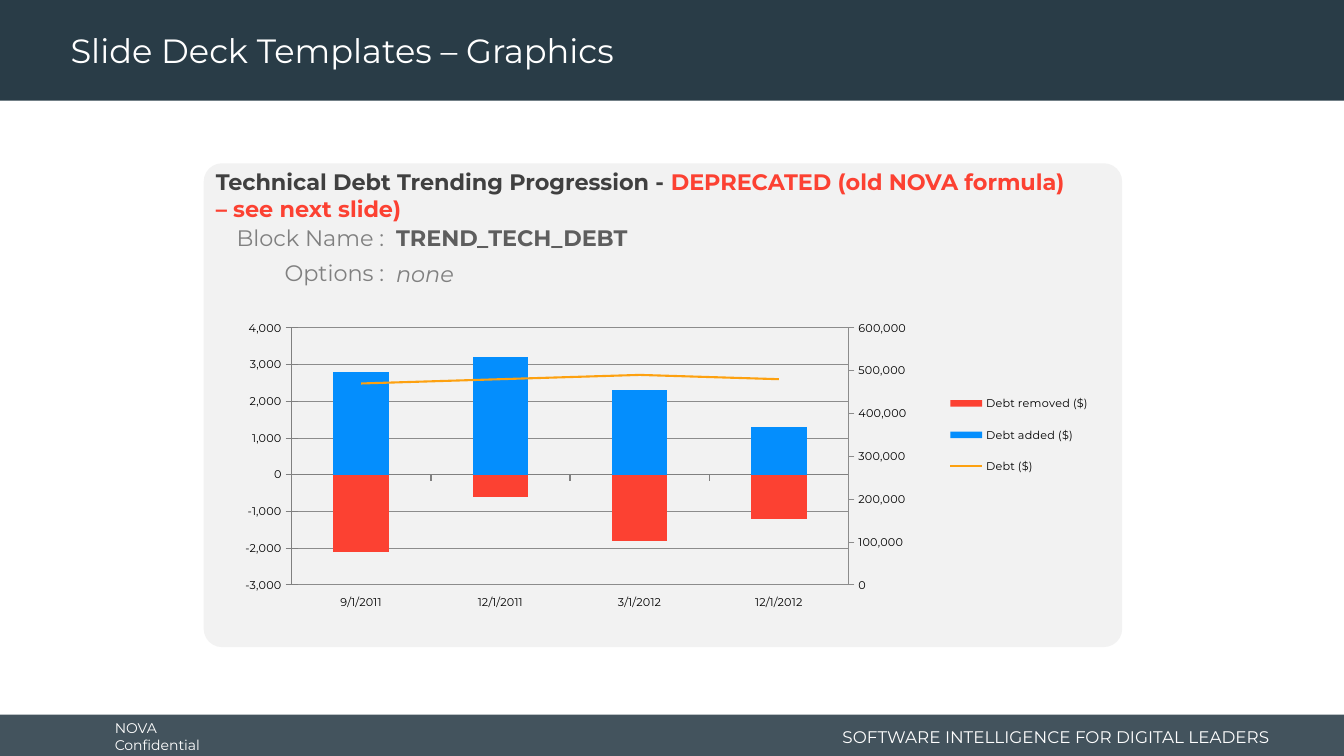
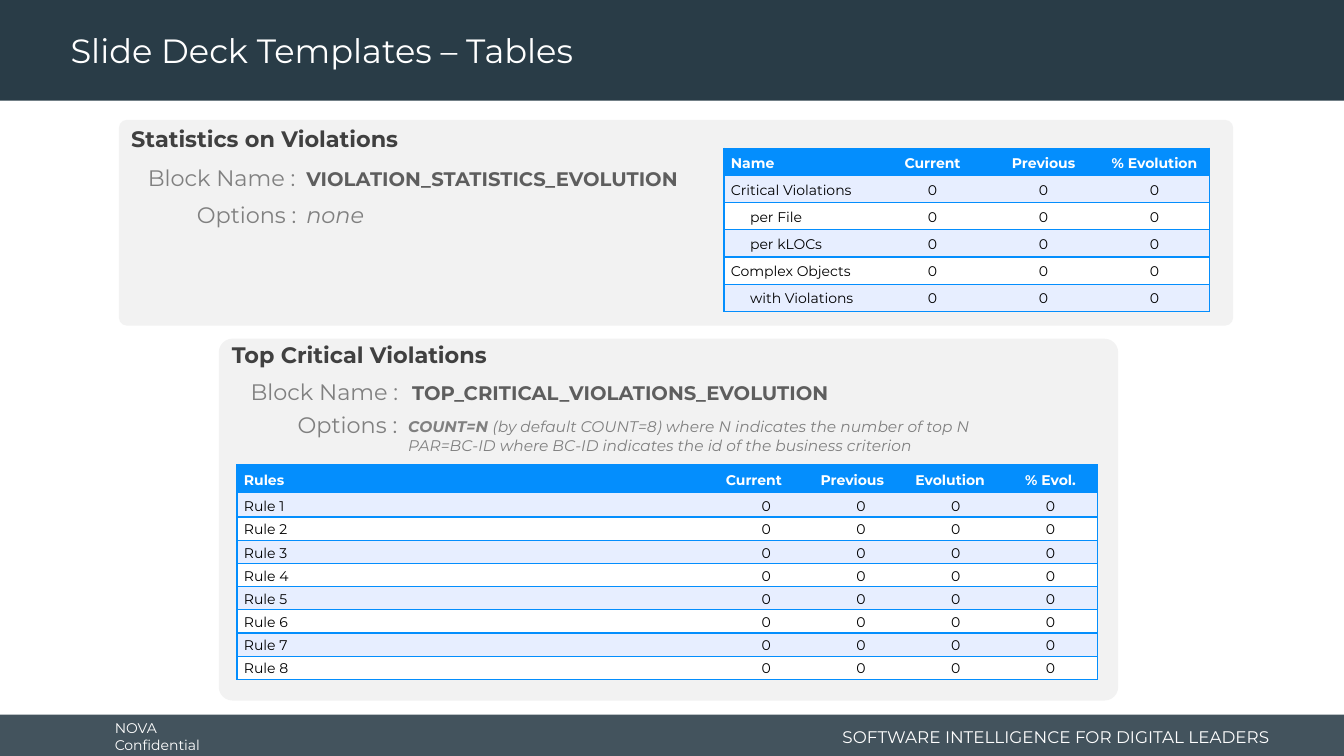
from dataclasses import dataclass

from pptx import Presentation
from pptx.chart.data import CategoryChartData
from pptx.dml.color import RGBColor
from pptx.enum import chart as charts, shapes, text
from pptx.oxml import parse_xml
from pptx.oxml.ns import nsdecls
from pptx.util import Inches, Pt

FONT = "Montserrat"
NAVY = RGBColor(0x29, 0x3C, 0x47)
WHITE = RGBColor(0xFF, 0xFF, 0xFF)
BLACK = RGBColor(0, 0, 0)
PANEL = RGBColor(0xF2, 0xF2, 0xF2)
DARK = RGBColor(0x40, 0x40, 0x40)
SLATE = RGBColor(0x5E, 0x5E, 0x5E)
GRAY = RGBColor(0x80, 0x80, 0x80)
GRID = RGBColor(0x8C, 0x8C, 0x8C)
RED = RGBColor(0xFC, 0x41, 0x32)
BLUE = RGBColor(0x04, 0x8E, 0xFD)
PALE_BLUE = RGBColor(0xE7, 0xEE, 0xFF)
ORANGE = RGBColor(0xFD, 0xA1, 0x10)

LEFT, CENTER, RIGHT = text.PP_ALIGN.LEFT, text.PP_ALIGN.CENTER, text.PP_ALIGN.RIGHT
MIDDLE = text.MSO_ANCHOR.MIDDLE
PLAIN_TABLE_STYLE = "{2D5ABB26-0587-4C30-8999-92F81FD0307C}"


@dataclass(frozen=True)
class Style:
    size: float
    color: RGBColor
    bold: bool = False
    italic: bool = False


TITLE = Style(24, WHITE)
HEADING = Style(16, DARK, bold=True)
WARNING = Style(16, RED, bold=True)
LABEL = Style(16, GRAY)
VALUE = Style(16, GRAY, italic=True)
NOTE = Style(11, GRAY, italic=True)
NOTE_BOLD = Style(11, GRAY, bold=True, italic=True)
TABLE_HEAD = Style(10, WHITE, bold=True)
TABLE_BODY = Style(10, BLACK)


def inches(values):
    return [Inches(value) for value in values]


def add_run(paragraph, words, style):
    run = paragraph.add_run()
    run.text = words
    run.font.name = FONT
    run.font.size = Pt(style.size)
    run.font.color.rgb = style.color
    run.font.bold = style.bold
    run.font.italic = style.italic


def add_text(slide, box, paragraphs, align=LEFT, wrap=True, side_inset=0.1, anchor=None):
    """Add a text box; each paragraph is a list of (words, style) runs."""
    shape = slide.shapes.add_textbox(*inches(box))
    frame = shape.text_frame
    frame.word_wrap = wrap
    frame.margin_left = frame.margin_right = Inches(side_inset)
    frame.vertical_anchor = anchor
    for number, runs in enumerate(paragraphs):
        paragraph = frame.add_paragraph() if number else frame.paragraphs[0]
        paragraph.alignment = align
        for words, style in runs:
            add_run(paragraph, words, style)
    return shape


def add_box(slide, kind, box, color):
    shape = slide.shapes.add_shape(kind, *inches(box))
    shape.shadow.inherit = False
    shape.fill.solid()
    shape.fill.fore_color.rgb = color
    shape.line.fill.background()
    return shape


def build_layout(layout, slide):
    """Place the title, then draw bands and footer on a slide and move them to its layout."""
    for placeholder in list(layout.placeholders):
        if placeholder.placeholder_format.idx:
            layout.shapes.element.remove(placeholder.element)
        else:
            placeholder.left, placeholder.top, placeholder.width, placeholder.height = inches(
                (0.6, 0.04, 9.58, 0.96))
            placeholder.text_frame.vertical_anchor = MIDDLE

    footer_band = add_box(slide, shapes.MSO_SHAPE.RECTANGLE, (0, 7.09, 13.33, 0.41), NAVY)
    fill_color = footer_band.element.xpath("./p:spPr/a:solidFill/a:srgbClr")[0]
    fill_color.append(parse_xml(f'<a:alpha {nsdecls("a")} val="88000"/>'))
    frame_shapes = [
        footer_band,
        add_box(slide, shapes.MSO_SHAPE.RECTANGLE, (0, 0, 13.33, 1), NAVY),
        add_text(slide, (1.04, 7.11, 1.48, 0.4),
                 [[("NOVA Confidential", Style(10, WHITE))]], wrap=False, anchor=MIDDLE),
        add_text(slide, (8.11, 7.15, 4.58, 0.32),
                 [[("SOFTWARE INTELLIGENCE FOR DIGITAL LEADERS", Style(12, WHITE))]],
                 align=RIGHT, anchor=MIDDLE),
    ]
    for position, shape in enumerate(frame_shapes, start=2):
        layout.shapes.element.insert(position, shape.element)


def set_title(slide, words):
    paragraph = slide.shapes.title.text_frame.paragraphs[0]
    paragraph.alignment = LEFT
    paragraph.line_spacing = 0.9
    add_run(paragraph, words, TITLE)


def add_panel(slide, box, heading_box, heading):
    panel = add_box(slide, shapes.MSO_SHAPE.ROUNDED_RECTANGLE, box, PANEL)
    panel.adjustments[0] = 0.038
    add_text(slide, heading_box, [heading], side_inset=0.2)


def add_field(slide, label, label_box, value_at, paragraphs):
    """Add a right-aligned label and the value beside it."""
    add_text(slide, label_box, [[(label, LABEL)]], align=RIGHT, wrap=False)
    add_text(slide, (*value_at, 7.25, 0.37), paragraphs)


def set_borders(cell, sides):
    properties = cell._tc.get_or_add_tcPr()
    for side in sides:
        properties.append(parse_xml(
            f'<a:ln{side} {nsdecls("a")} w="12700"><a:solidFill>'
            f'<a:srgbClr val="{BLUE}"/></a:solidFill></a:ln{side}>'))


def add_table(slide, at, widths, heights, rows, head_aligns, indented=()):
    """Add a banded table whose first row is the header."""
    frame = slide.shapes.add_table(
        len(rows), len(widths), *inches((*at, sum(widths), sum(heights))))
    frame.element.xpath(".//a:tableStyleId")[0].text = PLAIN_TABLE_STYLE
    table = frame.table
    table.first_row = table.horz_banding = False
    for column, width in zip(table.columns, widths):
        column.width = Inches(width)
    for row, height in zip(table.rows, heights):
        row.height = Inches(height)
    last = len(widths) - 1
    for r, row in enumerate(rows):
        for c, words in enumerate(row):
            cell = table.cell(r, c)
            set_borders(cell, "L" * (c == 0) + "R" * (c == last) + "TB")
            cell.fill.solid()
            cell.fill.fore_color.rgb = (PALE_BLUE if r % 2 else WHITE) if r else BLUE
            cell.vertical_anchor = MIDDLE
            cell.margin_top = cell.margin_bottom = 0
            cell.margin_left = Inches(0.26 if words in indented else 0.07)
            cell.margin_right = Inches(0.07)
            paragraph = cell.text_frame.paragraphs[0]
            paragraph.line_spacing = 1.15
            paragraph.alignment = head_aligns[c] if r == 0 else CENTER if c else LEFT
            add_run(paragraph, words, TABLE_BODY if r else TABLE_HEAD)


def manual_layout(x, y, width, height, inner=False):
    target = '<c:layoutTarget val="inner"/>' if inner else ""
    return parse_xml(
        f'<c:layout {nsdecls("c")}><c:manualLayout>{target}'
        '<c:xMode val="edge"/><c:yMode val="edge"/>'
        f'<c:x val="{x}"/><c:y val="{y}"/><c:w val="{width}"/><c:h val="{height}"/>'
        '</c:manualLayout></c:layout>')


def move_last_series_to_right_axis(plot_area):
    """Turn the last column series into a line on a second value axis from 0 to 600,000."""
    bars = plot_area.xpath("./c:barChart")[0]
    series = bars.xpath("./c:ser")[-1]
    for item in series.xpath("./c:invertIfNegative"):
        series.remove(item)
    lines = parse_xml(
        f'<c:lineChart {nsdecls("c")}><c:grouping val="standard"/><c:varyColors val="0"/>'
        '<c:marker val="1"/><c:axId val="5001"/><c:axId val="5002"/></c:lineChart>')
    lines.insert(2, series)
    bars.addnext(lines)
    category_axis = parse_xml(
        f'<c:catAx {nsdecls("c")}><c:axId val="5001"/>'
        '<c:scaling><c:orientation val="minMax"/></c:scaling><c:delete val="1"/>'
        '<c:axPos val="b"/><c:crossAx val="5002"/><c:crosses val="autoZero"/></c:catAx>')
    value_axis = parse_xml(
        f'<c:valAx {nsdecls("c", "a")}><c:axId val="5002"/>'
        '<c:scaling><c:orientation val="minMax"/><c:max val="600000"/><c:min val="0"/></c:scaling>'
        '<c:delete val="0"/><c:axPos val="r"/><c:numFmt formatCode="#,##0" sourceLinked="0"/>'
        '<c:majorTickMark val="out"/><c:minorTickMark val="none"/><c:tickLblPos val="nextTo"/>'
        f'<c:spPr><a:ln w="6350"><a:solidFill><a:srgbClr val="{GRID}"/></a:solidFill></a:ln></c:spPr>'
        '<c:crossAx val="5001"/><c:crosses val="max"/><c:crossBetween val="between"/>'
        '<c:majorUnit val="100000"/></c:valAx>')
    plot_area.xpath("./c:valAx")[-1].addnext(category_axis)
    category_axis.addnext(value_axis)


def set_line(line, color, width):
    line.color.rgb = color
    line.width = Pt(width)


def add_debt_chart(slide):
    data = CategoryChartData(number_format="#,##0")
    data.categories = ["9/1/2011", "12/1/2011", "3/1/2012", "12/1/2012"]
    data.add_series("Debt removed ($)", (-2100, -600, -1800, -1200))
    data.add_series("Debt added ($)", (2800, 3200, 2300, 1300))
    data.add_series("Debt ($)", (470000, 480000, 490000, 480000))
    chart = slide.shapes.add_chart(
        charts.XL_CHART_TYPE.COLUMN_CLUSTERED, *inches((2.09, 2.87, 8.91, 4.25)), data).chart
    chart.has_title = False
    chart.font.name = FONT
    chart.font.size = Pt(8)
    chart.font.color.rgb = BLACK

    category_axis, value_axis = chart.category_axis, chart.value_axis
    category_axis.tick_label_position = charts.XL_TICK_LABEL_POSITION.LOW
    category_axis.major_tick_mark = charts.XL_TICK_MARK.OUTSIDE
    set_line(category_axis.format.line, GRAY, 1)
    value_axis.minimum_scale, value_axis.maximum_scale = -3000, 4000
    value_axis.major_unit = 1000
    value_axis.major_tick_mark = charts.XL_TICK_MARK.CROSS
    value_axis.tick_labels.number_format = "#,##0"
    value_axis.tick_labels.number_format_is_linked = False
    set_line(value_axis.format.line, GRAY, 0.5)
    set_line(value_axis.major_gridlines.format.line, GRID, 0.5)

    plot_area = chart.element.xpath("./c:chart/c:plotArea")[0]
    for layout in plot_area.xpath("./c:layout"):
        plot_area.remove(layout)
    plot_area.insert(0, manual_layout(0.09, 0.09, 0.62, 0.6, inner=True))
    move_last_series_to_right_axis(plot_area)

    columns, lines = chart.plots
    columns.vary_by_categories = False
    columns.gap_width, columns.overlap = 150, 100
    for series, color in zip(columns.series, (RED, BLUE)):
        series.invert_if_negative = False
        series.format.fill.solid()
        series.format.fill.fore_color.rgb = color
    debt = lines.series[0]
    debt.smooth = False
    debt.marker.style = charts.XL_MARKER_STYLE.NONE
    set_line(debt.format.line, ORANGE, 1.5)

    chart.has_legend = True
    chart.legend.position = charts.XL_LEGEND_POSITION.RIGHT
    chart.legend.include_in_layout = False
    for layout in chart.legend._element.xpath("./c:layout"):
        chart.legend._element.remove(layout)
    chart.legend._element.insert(1, manual_layout(0.81, 0.21, 0.18, 0.26))


def build_graphics(slide):
    set_title(slide, "Slide Deck Templates – Graphics")
    add_panel(slide, (2.02, 1.62, 9.11, 4.8), (1.94, 1.62, 8.91, 0.64), [
        ("Technical Debt Trending Progression - ", HEADING),
        ("DEPRECATED (old NOVA formula) – see next slide)", WARNING)])
    add_field(slide, "Block Name :", (2.24, 2.17, 1.67, 0.37), (3.83, 2.17),
              [[("TREND_TECH_DEBT", Style(16, SLATE, bold=True))]])
    add_field(slide, "Options :", (2.7, 2.52, 1.21, 0.37), (3.83, 2.53), [[("none", VALUE)]])
    add_debt_chart(slide)


def build_tables(slide):
    set_title(slide, "Slide Deck Templates – Tables")
    block_name = Style(14, SLATE, bold=True)

    add_panel(slide, (1.18, 1.19, 11.05, 2.04), (1.1, 1.19, 8.91, 0.37),
              [("Statistics on Violations", HEADING)])
    add_field(slide, "Block Name :", (1.36, 1.58, 1.67, 0.37), (2.94, 1.61),
              [[("VIOLATION_STATISTICS_EVOLUTION", block_name)]])
    add_field(slide, "Options :", (1.83, 1.95, 1.21, 0.37), (2.94, 1.95), [[("none", VALUE)]])
    details = ("per File", "per kLOCs", "with Violations")
    names = ("Critical Violations", *details[:2], "Complex Objects", details[2])
    rows = [("Name", "Current", "Previous", "% Evolution")]
    rows += [(name, "0", "0", "0") for name in names]
    add_table(slide, (7.18, 1.47), [1.52] + [1.1] * 3, [0.27] * 6, rows,
              [LEFT] + [CENTER] * 3, indented=details)

    add_panel(slide, (2.17, 3.36, 8.92, 3.59), (2.1, 3.34, 8.91, 0.37),
              [("Top Critical Violations", HEADING)])
    add_field(slide, "Block Name :", (2.38, 3.7, 1.67, 0.37), (3.99, 3.73),
              [[("TOP_CRITICAL_VIOLATIONS_EVOLUTION", block_name)]])
    add_field(slide, "Options :", (2.83, 4.03, 1.21, 0.37), (3.95, 4.09), [
        [("COUNT=N ", NOTE_BOLD),
         ("(by default COUNT=8) where N indicates the number of top N", NOTE)],
        [("PAR=BC-ID where BC-ID indicates the id of the business criterion", NOTE)]])
    rows = [("Rules", "Current", "Previous", "Evolution", "% Evol.")]
    rows += [(f"Rule {number}", "0", "0", "0", "0") for number in range(1, 9)]
    add_table(slide, (2.35, 4.61), [4.78] + [0.94] * 4, [0.28, 0.24] + [0.23] * 7, rows,
              [LEFT] * 4 + [CENTER])


def main():
    presentation = Presentation()
    presentation.slide_width, presentation.slide_height = inches((13.33, 7.5))
    layout = presentation.slide_layouts.get_by_name("Title Only")
    graphics = presentation.slides.add_slide(layout)
    build_layout(layout, graphics)
    build_graphics(graphics)
    build_tables(presentation.slides.add_slide(layout))
    presentation.save("out.pptx")


if __name__ == "__main__":
    main()
